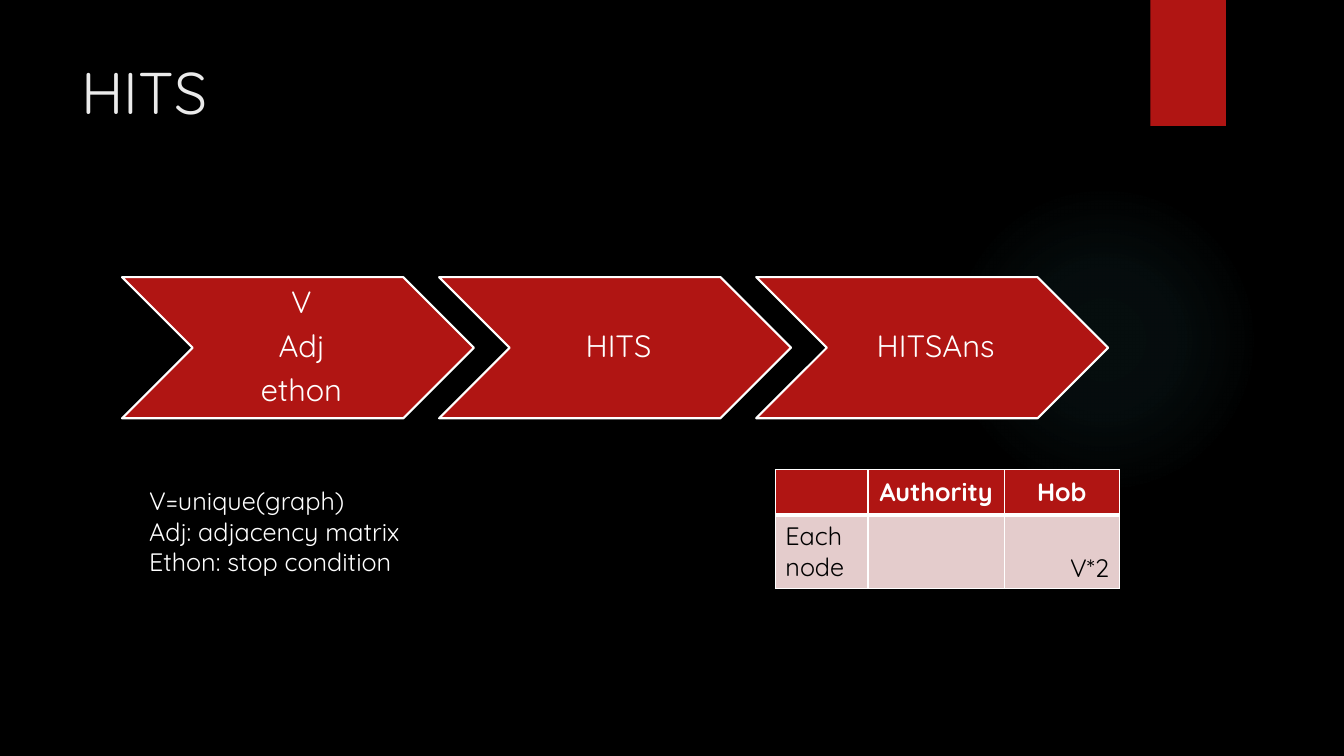
from lxml import etree
from pptx import Presentation
from pptx import util as u
from pptx.dml.color import RGBColor
from pptx.enum import shapes, text
from pptx.oxml import ns

BLACK = RGBColor(0x00, 0x00, 0x00)
WHITE = RGBColor(0xFF, 0xFF, 0xFF)
TITLE = RGBColor(0xEB, 0xEB, 0xEB)
RED = RGBColor(0xB0, 0x15, 0x13)
PINK = RGBColor(0xE4, 0xCC, 0xCC)
GLOW = RGBColor(0x50, 0xB9, 0xC1)
FONT = "Quicksand"

LEFT, CENTER, RIGHT = text.PP_ALIGN.LEFT, text.PP_ALIGN.CENTER, text.PP_ALIGN.RIGHT
TOP, MIDDLE, BOTTOM = text.MSO_ANCHOR.TOP, text.MSO_ANCHOR.MIDDLE, text.MSO_ANCHOR.BOTTOM

HEADING = ["HITS"]
STEPS = [["V", "Adj", "ethon"], ["HITS"], ["HITSAns"]]
NOTES = ["V=unique(graph)", "Adj: adjacency matrix", "Ethon: stop condition"]
TABLE = [
    [([""], LEFT, TOP), (["Authority"], CENTER, MIDDLE), (["Hob"], CENTER, MIDDLE)],
    [(["Each", "node"], LEFT, TOP), ([""], LEFT, TOP), (["V*2"], RIGHT, BOTTOM)],
]
COLS, ROWS = [0.92, 1.35, 1.14], [0.45, 0.73]
GLOW_STOPS = [(0, 7), (36, 6), (69, 0)]  # position %, opacity %
STEP_LEFT, STEP_TOP, STEP_W, STEP_H, STEP_PITCH = 1.21, 2.75, 3.49, 1.4, 3.145


def inches(*lengths):
    return [u.Inches(n) for n in lengths]


def write(tf, lines, size=18, color=WHITE, bold=False, align=LEFT, spacing=None, after=None):
    for i, line in enumerate(lines):
        p = tf.paragraphs[0] if i == 0 else tf.add_paragraph()
        p.alignment = align
        p.line_spacing = spacing
        p.space_after = after
        p.font.size = u.Pt(size)
        if line:
            r = p.add_run()
            r.text = line
            f = r.font
            f.name, f.size, f.bold = FONT, u.Pt(size), bold
            f.color.rgb = color


def add_text(s, box, lines, wrap=True, **style):
    tf = s.shapes.add_textbox(*inches(*box)).text_frame
    tf.word_wrap = wrap
    write(tf, lines, **style)


def add_shape(s, kind, box, fill, line=None):
    sp = s.shapes.add_shape(kind, *inches(*box))
    sp.shadow.inherit = False
    sp.fill.solid()
    sp.fill.fore_color.rgb = fill
    if line is None:
        sp.line.fill.background()
    else:
        sp.line.color.rgb = line
        sp.line.width = u.Pt(1.5)
    return sp


def fade_out(sp, color, stops):
    """Replace the solid fill by a circular gradient of falling opacity."""
    grad = etree.Element(ns.qn("a:gradFill"))
    gs_list = etree.SubElement(grad, ns.qn("a:gsLst"))
    for pos, alpha in stops:
        gs = etree.SubElement(gs_list, ns.qn("a:gs"), pos=str(pos * 1000))
        clr = etree.SubElement(gs, ns.qn("a:srgbClr"), val=str(color))
        etree.SubElement(clr, ns.qn("a:alpha"), val=str(alpha * 1000))
    path = etree.SubElement(grad, ns.qn("a:path"), path="circle")
    etree.SubElement(path, ns.qn("a:fillToRect"), {side: "50000" for side in "ltrb"})
    solid = sp._element.spPr.find(ns.qn("a:solidFill"))
    solid.getparent().replace(solid, grad)


def set_borders(cell, **widths):
    pr = cell._tc.get_or_add_tcPr()
    for side in "LRTB":
        ln = etree.SubElement(pr, ns.qn("a:ln" + side), w=str(u.Pt(widths.get(side, 1))))
        fill = etree.SubElement(ln, ns.qn("a:solidFill"))
        etree.SubElement(fill, ns.qn("a:srgbClr"), val=str(WHITE))


def add_result_table(s, left, top):
    size = inches(left, top, sum(COLS), sum(ROWS))
    table = s.shapes.add_table(len(ROWS), len(COLS), *size).table
    for col, width in zip(table.columns, COLS):
        col.width = u.Inches(width)
    for y, (row, height) in enumerate(zip(TABLE, ROWS)):
        table.rows[y].height = u.Inches(height)
        head = y == 0
        for x, (lines, align, anchor) in enumerate(row):
            cell = table.cell(y, x)
            set_borders(cell, **({"B": 3} if head else {"T": 3}))
            cell.fill.solid()
            cell.fill.fore_color.rgb = RED if head else PINK
            cell.vertical_anchor = anchor
            write(cell.text_frame, lines, color=WHITE if head else BLACK, bold=head, align=align)


def main():
    prs = Presentation()
    prs.slide_width, prs.slide_height = inches(13.33, 7.5)
    s = prs.slides.add_slide(prs.slide_layouts[6])
    s.background.fill.solid()
    s.background.fill.fore_color.rgb = BLACK

    kinds = shapes.MSO_SHAPE
    glow = add_shape(s, kinds.OVAL, (9.41, 1.83, 3.08, 3.08), GLOW)
    fade_out(glow, GLOW, GLOW_STOPS)
    add_shape(s, kinds.RECTANGLE, (11.41, 0, 0.75, 1.25), RED)
    add_text(s, (0.71, 0.5, 10.29, 1.53), HEADING, size=42, color=TITLE)

    for i, lines in enumerate(STEPS):
        box = (STEP_LEFT + i * STEP_PITCH, STEP_TOP, STEP_W, STEP_H)
        tf = add_shape(s, kinds.CHEVRON, box, RED, WHITE).text_frame
        tf.margin_left, tf.margin_top, tf.margin_right, tf.margin_bottom = inches(0.1, 0.03, 0.03, 0.03)
        tf.vertical_anchor = MIDDLE
        tf.word_wrap = True
        write(tf, lines, size=22, align=CENTER, spacing=0.9, after=u.Pt(7.7))

    add_text(s, (1.38, 4.77, 2.91, 1.01), NOTES, wrap=False)
    add_result_table(s, 7.69, 4.66)
    prs.save("out.pptx")


if __name__ == "__main__":
    main()
